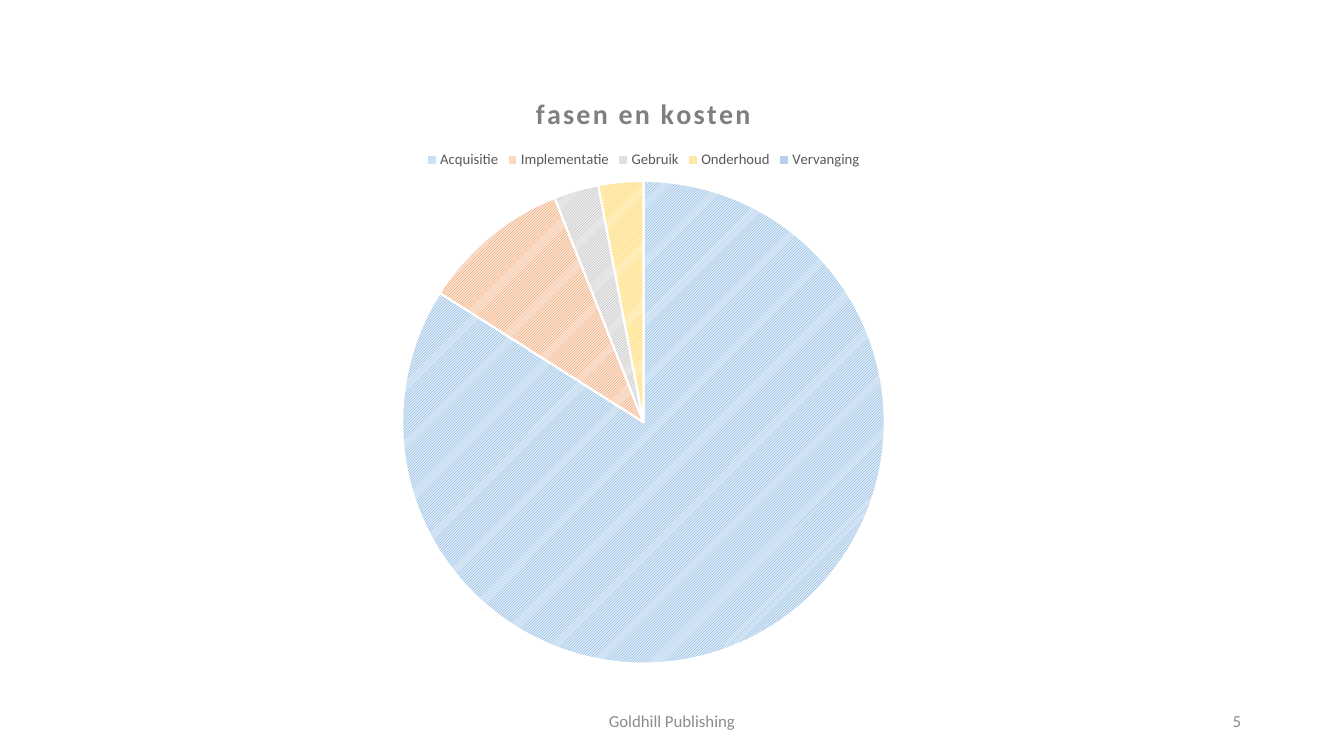
from dataclasses import dataclass
from lxml.etree import SubElement
from pptx import Presentation
from pptx.chart.data import CategoryChartData
from pptx.dml.color import RGBColor
from pptx.enum.chart import XL_CHART_TYPE as ChartType, XL_LEGEND_POSITION as LegendSide
from pptx.enum.dml import MSO_PATTERN as Pattern
from pptx.enum.text import MSO_ANCHOR as Anchor, PP_ALIGN as Align
from pptx.oxml.ns import qn
from pptx.util import Emu, Pt


@dataclass(frozen=True)
class Theme:
    font: str = "Calibri"
    title: str = "7F7F7F"
    legend: str = "595959"
    footer: str = "8C8C8C"
    border: str = "FFFFFF"
    title_size: float = 20
    legend_size: float = 10.5
    footer_size: float = 12
    chart_size: float = 10


theme = Theme()
EMU_PER_PX = 914400 / 100.8
color = RGBColor.from_string


def px(length):
    return Emu(round(length * EMU_PER_PX))


def add_text(slide, text, left, top, width, height, align):
    box = slide.shapes.add_textbox(px(left), px(top), px(width), px(height))
    frame = box.text_frame
    frame.word_wrap = True
    frame.vertical_anchor = Anchor.MIDDLE
    para = frame.paragraphs[0]
    para.alignment = align
    span = para.add_run()
    span.text = text
    span.font.name = theme.font
    span.font.size = Pt(theme.footer_size)
    span.font.color.rgb = color(theme.footer)


deck = Presentation()
deck.slide_width, deck.slide_height = px(1344), px(756)
page = deck.slides.add_slide(deck.slide_layouts[6])

phases = [
    ("Acquisitie", 84, "5B9BD5", "DEEBF7"),
    ("Implementatie", 10, "ED7D31", "FBE5D6"),
    ("Gebruik", 3, "A5A5A5", "EDEDED"),
    ("Onderhoud", 3, "FFC000", "FFF2CC"),
    ("Vervanging", 0, "4472C4", "DAE3F3"),
]
costs = CategoryChartData()
costs.categories = [name for name, *_ in phases]
costs.add_series("Series 1", [cost for _, cost, *_ in phases])
chart = page.shapes.add_chart(
    ChartType.PIE, px(135), px(71), px(1017), px(611), costs
).chart
chart.font.name = theme.font
chart.font.size = Pt(theme.chart_size)

chart.has_title = True
heading = chart.chart_title.text_frame.paragraphs[0].add_run()
heading.text = "fasen en kosten"
heading.font.name = theme.font
heading.font.size = Pt(theme.title_size)
heading.font.bold = True
heading.font.color.rgb = color(theme.title)
heading.font._element.set("spc", "150")
chart.chart_title.include_in_layout = False

chart.has_legend = True
chart.legend.position = LegendSide.TOP
chart.legend.include_in_layout = False
chart.legend.font.name = theme.font
chart.legend.font.size = Pt(theme.legend_size)
chart.legend.font.color.rgb = color(theme.legend)

plot = chart.plots[0]
plot.vary_by_categories = True
for index, (_, _, stripe, ground) in enumerate(phases):
    style = plot.series[0].points[index].format
    style.fill.patterned()
    style.fill.pattern = Pattern.LIGHT_UPWARD_DIAGONAL
    style.fill.fore_color.rgb = color(stripe)
    style.fill.back_color.rgb = color(ground)
    style.line.color.rgb = color(theme.border)
    style.line.width = Pt(1.5)

plot_area = chart._chartSpace.chart.plotArea
layout = plot_area.find(qn("c:layout"))
if layout is None:
    layout = SubElement(plot_area, qn("c:layout"))
    plot_area.insert(0, layout)
manual = SubElement(layout, qn("c:manualLayout"))
for tag, value in [
    ("layoutTarget", "inner"), ("xMode", "edge"), ("yMode", "edge"),
    ("x", "0.26"), ("y", "0.18"), ("w", "0.48"), ("h", "0.79"),
]:
    SubElement(manual, qn(f"c:{tag}")).set("val", value)

add_text(page, "Goldhill Publishing", 445, 701, 454, 40, Align.CENTER)
add_text(page, "5", 949, 701, 302, 40, Align.RIGHT)

deck.save("out.pptx")
